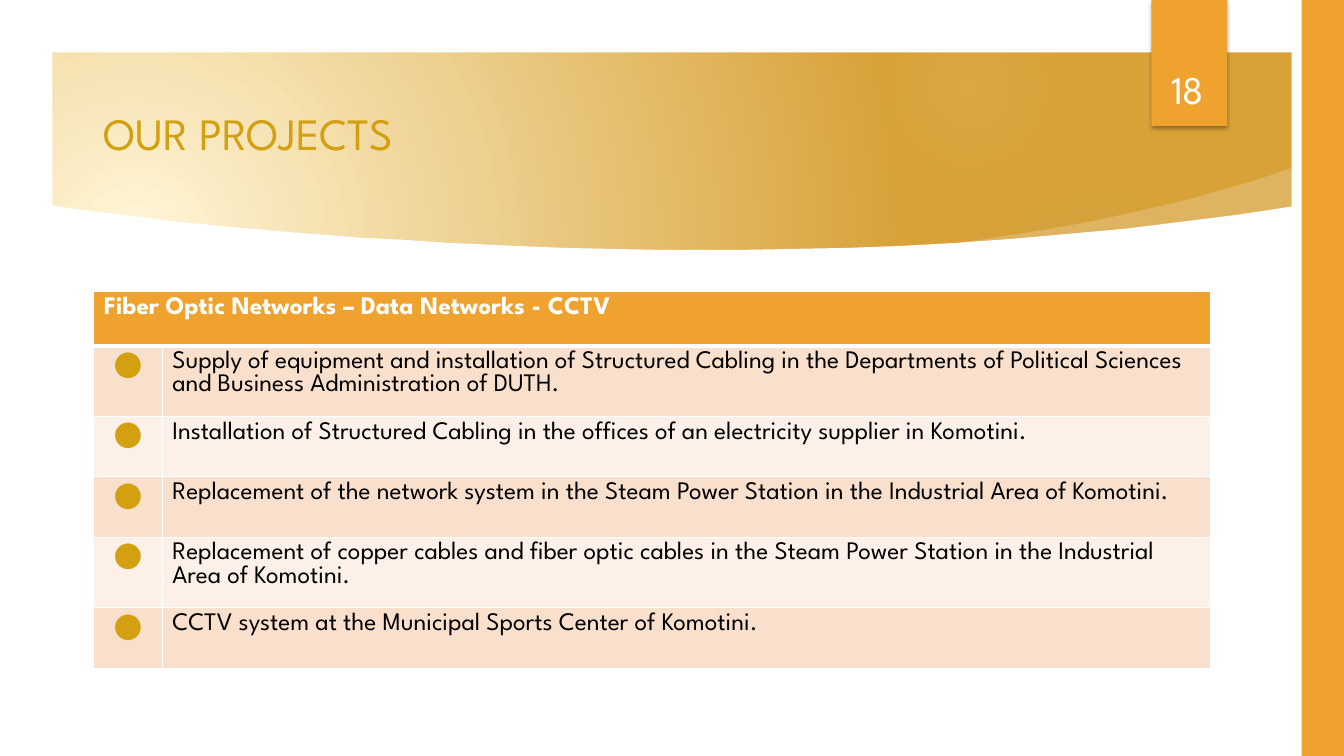
from lxml import etree
from pptx import Presentation
from pptx.dml.color import RGBColor
from pptx.enum.shapes import MSO_SHAPE as Preset
from pptx.enum.text import MSO_ANCHOR as Anchor, PP_ALIGN as Align
from pptx.oxml import parse_xml
from pptx.oxml.ns import nsdecls, qn
from pptx.util import Inches, Pt

TITLE = "OUR PROJECTS"
PAGE = "18"
HEADING = "Fiber Optic Networks – Data Networks - CCTV"
PROJECTS = [
    "Supply of equipment and installation of Structured Cabling in the Departments of Political Sciences and Business Administration of DUTH.",
    "Installation of Structured Cabling in the offices of an electricity supplier in Komotini.",
    "Replacement of the network system in the Steam Power Station in the Industrial Area of Komotini.",
    "Replacement of copper cables and fiber optic cables in the Steam Power Station in the Industrial Area of Komotini.",
    "CCTV system at the Municipal Sports Center of Komotini.",
]

FONT = "League Spartan"
ORANGE = RGBColor(0xF0, 0xA2, 0x2E)
GOLD = RGBColor(0xD2, 0xA0, 0x10)
WHITE = RGBColor(0xFF, 0xFF, 0xFF)
BLACK = RGBColor(0, 0, 0)
BANDS = [RGBColor(0xF9, 0xE0, 0xCD), RGBColor(0xFC, 0xF0, 0xE8)]
CREAM = RGBColor(0xFF, 0xF6, 0xD8)
OCHRE = RGBColor(0xD8, 0xA2, 0x39)
GLOW = RGBColor(0xF6, 0xC7, 0x82)
SHADE = RGBColor(0xA1, 0x95, 0x74)

WIDTH, HEIGHT = 13.33, 7.5
GLOWS = [
    (9.41, 1.83, 3.08, SHADE, [(0, 7), (36, 6), (69, 0)]),
    (8.75, 0, 1.75, GLOW, [(0, 14), (36, 7), (73, 0)]),
]
SWOOSH = [(9.34, 2.5), (12.89, 2.14), (12.83, 1.66), (12.48, 1.78), (12.13, 1.88),
          (11.78, 1.98), (11.44, 2.06), (11.09, 2.14), (10.75, 2.21), (10.42, 2.27),
          (10.1, 2.32), (9.79, 2.37), (9.49, 2.41), (9.3, 2.43)]
SLIDE_EDGE = [(0, 0), (0, HEIGHT), (WIDTH, HEIGHT), (WIDTH, 0)]
BANNER_EDGE = [(0.52, 0.52), (12.81, 0.52), (12.81, 2.05), (12.28, 2.13), (11.72, 2.2),
               (11.16, 2.27), (10.6, 2.32), (10.04, 2.37), (9.49, 2.41), (8.94, 2.44),
               (8.4, 2.46), (7.86, 2.47), (7.34, 2.48), (6.57, 2.48), (6.07, 2.47),
               (5.59, 2.46), (5.11, 2.44), (4.44, 2.41), (4.01, 2.38), (3.6, 2.36),
               (3.21, 2.33), (2.83, 2.3), (2.49, 2.27), (2.16, 2.24), (1.87, 2.21),
               (1.59, 2.18), (1.35, 2.15), (1.13, 2.12), (0.94, 2.1), (0.52, 2.04)]

COLUMNS = [0.68, 10.4]
HEADING_HEIGHT, ROW_HEIGHT = 0.54, 0.6


def radial(stops, left, top, right, bottom):
    marks = "".join(
        f'<a:gs pos="{pos * 1000}"><a:srgbClr val="{color}">'
        f'<a:alpha val="{alpha * 1000}"/></a:srgbClr></a:gs>'
        for pos, color, alpha in stops)
    return (f'<a:gradFill {nsdecls("a")} rotWithShape="1"><a:gsLst>{marks}</a:gsLst>'
            f'<a:path path="circle"><a:fillToRect l="{left * 1000}" t="{top * 1000}" '
            f'r="{right * 1000}" b="{bottom * 1000}"/></a:path></a:gradFill>')


def plain(shape, color):
    shape.shadow.inherit = False
    shape.fill.solid()
    shape.fill.fore_color.rgb = color
    shape.line.fill.background()
    return shape


def block(preset, left, top, width, height, color):
    return plain(slide.shapes.add_shape(
        preset, Inches(left), Inches(top), Inches(width), Inches(height)), color)


def outline(contours, color):
    emu = [[(Inches(x), Inches(y)) for x, y in contour] for contour in contours]
    builder = slide.shapes.build_freeform(*emu[0][0])
    builder.add_line_segments(emu[0][1:], close=True)
    for contour in emu[1:]:
        builder.move_to(*contour[0])
        builder.add_line_segments(contour[1:], close=True)
    return plain(builder.convert_to_shape(), color)


def write(frame, text, size, color, align=Align.LEFT, bold=False):
    paragraph = frame.paragraphs[0]
    paragraph.text = text
    paragraph.alignment = align
    font = paragraph.font
    font.name, font.size, font.bold = FONT, Pt(size), bold
    font.color.rgb = color


def label(left, top, width, height, text, size, color, align):
    frame = slide.shapes.add_textbox(
        Inches(left), Inches(top), Inches(width), Inches(height)).text_frame
    frame.word_wrap = True
    frame.vertical_anchor = Anchor.BOTTOM
    write(frame, text, size, color, align)


def style_cell(cell, color, top, bottom):
    properties = cell._tc.get_or_add_tcPr()
    for side, points in (("L", 1), ("R", 1), ("T", top), ("B", bottom)):
        properties.append(parse_xml(
            f'<a:ln{side} {nsdecls("a")} w="{Pt(points)}"><a:solidFill>'
            f'<a:srgbClr val="{WHITE}"/></a:solidFill></a:ln{side}>'))
    cell.fill.solid()
    cell.fill.fore_color.rgb = color


prs = Presentation()
prs.slide_width, prs.slide_height = Inches(WIDTH), Inches(HEIGHT)
slide = prs.slides.add_slide(prs.slide_layouts[6])

slide.background.fill.solid()
solid = slide.background._cSld.find(".//" + qn("a:solidFill"))
solid.getparent().replace(solid, parse_xml(
    radial([(0, CREAM, 100), (100, OCHRE, 100)], 45, 65, 125, 100)))

for left, top, size, color, fades in GLOWS:
    glow = block(Preset.OVAL, left, top, size, size, color)
    solid = glow._element.spPr.find(qn("a:solidFill"))
    stops = [(pos, color, alpha) for pos, alpha in fades]
    solid.getparent().replace(solid, parse_xml(radial(stops, 50, 50, 50, 50)))

swoosh = outline([SWOOSH], WHITE)
swoosh_color = swoosh._element.spPr.find(qn("a:solidFill"))[0]
etree.SubElement(swoosh_color, qn("a:alpha"), val="20000")
outline([SLIDE_EDGE, BANNER_EDGE], WHITE)

page_tab = block(Preset.RECTANGLE, 11.42, 0, 0.75, 1.25, ORANGE)
page_tab._element.spPr.find(qn("a:effectLst")).append(parse_xml(
    f'<a:outerShdw {nsdecls("a")} blurRad="{Pt(3.1)}" dist="{Pt(1.8)}" dir="5400000">'
    '<a:srgbClr val="000000"><a:alpha val="35000"/></a:srgbClr></a:outerShdw>'))
block(Preset.RECTANGLE, 12.91, 0, 0.42, HEIGHT, ORANGE)

label(0.93, 0.2, 11.07, 1.43, TITLE, 32, GOLD, Align.LEFT)

projects = slide.shapes.add_table(
    len(PROJECTS) + 1, 2, Inches(0.93), Inches(2.89), Inches(sum(COLUMNS)),
    Inches(HEADING_HEIGHT + ROW_HEIGHT * len(PROJECTS))).table
for column, width in zip(projects.columns, COLUMNS):
    column.width = Inches(width)
for index, row in enumerate(projects.rows):
    row.height = Inches(ROW_HEIGHT if index else HEADING_HEIGHT)
    for cell in row.cells:
        style_cell(cell, BANDS[(index - 1) % 2] if index else ORANGE,
                   3 if index == 1 else 1, 1 if index else 3)
projects.cell(0, 0).merge(projects.cell(0, 1))
write(projects.cell(0, 0).text_frame, HEADING, 18, WHITE, bold=True)
for index, project in enumerate(PROJECTS, 1):
    write(projects.cell(index, 0).text_frame, "●", 24, GOLD, Align.CENTER)
    write(projects.cell(index, 1).text_frame, project, 18, BLACK)

label(11.32, 0.32, 0.92, 0.84, PAGE, 28, WHITE, Align.CENTER)

prs.save("out.pptx")
